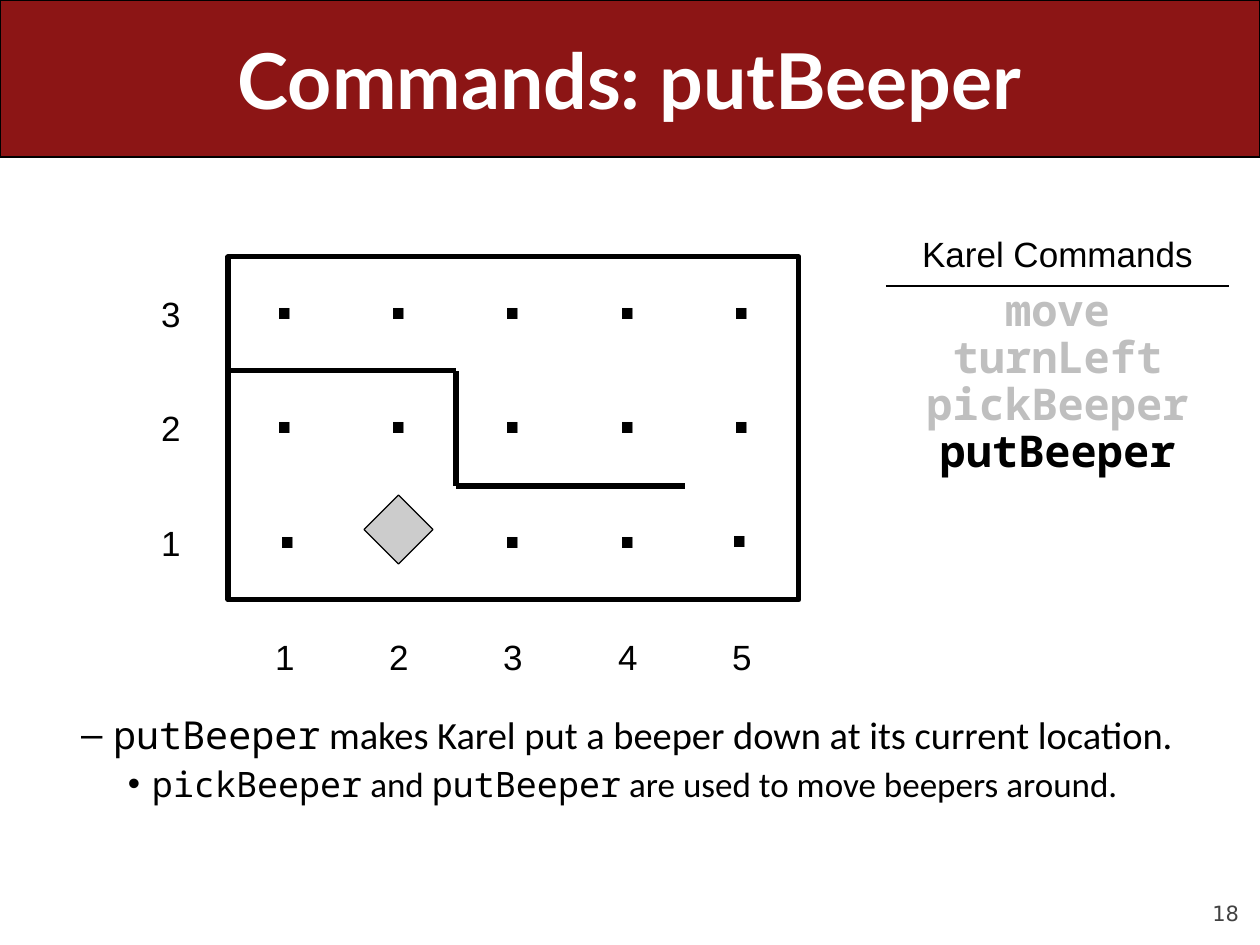
from lxml import etree
from pptx import Presentation
from pptx.dml.color import RGBColor
from pptx.enum.shapes import MSO_CONNECTOR, MSO_SHAPE
from pptx.enum.text import MSO_ANCHOR, PP_ALIGN
from pptx.oxml.ns import qn
from pptx.util import Pt

RECTANGLE, DIAMOND = MSO_SHAPE.RECTANGLE, MSO_SHAPE.DIAMOND
STRAIGHT = MSO_CONNECTOR.STRAIGHT
TOP, MIDDLE, BOTTOM = MSO_ANCHOR.TOP, MSO_ANCHOR.MIDDLE, MSO_ANCHOR.BOTTOM
LEFT, CENTER, RIGHT = PP_ALIGN.LEFT, PP_ALIGN.CENTER, PP_ALIGN.RIGHT

EMU_PER_PX = 914400 / 126
COLORS = {"band": "8C1515", "white": "FFFFFF", "black": "000000",
          "faded": "BFBFBF", "beeper": "CCCCCC", "number": "424242"}
SANS, MONO, BODY = "Arial", "Noto Sans Mono", "Calibri"
THIN, THICK = 0.75, 2.89

COLUMNS, ROWS = 5, 3
WORLD_LEFT, WORLD_TOP, WORLD_WIDTH, WORLD_HEIGHT = 228, 257, 571, 343
CELL = 114
DOT_INSETS, LABEL_INSETS = (11, 14, 11, 5), (11, 8, 11, 5)


def emu(px):
    return round(px * EMU_PER_PX)


def color(name):
    return RGBColor.from_string(COLORS[name])


def column_x(column):
    return WORLD_LEFT + round(column * WORLD_WIDTH / COLUMNS)


def row_y(row):
    return WORLD_TOP + round(row * WORLD_HEIGHT / ROWS)


class SlideBuilder:
    def __init__(self, slide):
        self.slide = slide

    def shape(self, kind, box, fill=None, line=None):
        shape = self.slide.shapes.add_shape(kind, *map(emu, box))
        shape.shadow.inherit = False
        if fill:
            shape.fill.solid()
            shape.fill.fore_color.rgb = color(fill)
        else:
            shape.fill.background()
        if line:
            shape.line.color.rgb = color("black")
            shape.line.width = Pt(line)
        else:
            shape.line.fill.background()
        return shape

    def line(self, start, end, width):
        connector = self.slide.shapes.add_connector(
            STRAIGHT, *map(emu, (*start, *end)))
        connector.line.color.rgb = color("black")
        connector.line.width = Pt(width)
        etree.SubElement(connector._element.spPr, qn("a:effectLst"))

    def frame(self, shape, insets, anchor, wrap):
        left, top, right, bottom = map(emu, insets)
        values = {"margin_left": left, "margin_top": top, "margin_right": right,
                  "margin_bottom": bottom, "vertical_anchor": anchor,
                  "word_wrap": wrap}
        for name, value in values.items():
            setattr(shape.text_frame, name, value)
        return shape.text_frame

    def run(self, paragraph, text, size, font, ink="black", bold=False):
        run = paragraph.add_run()
        run.text = text
        values = {"size": Pt(size), "name": font, "bold": bold}
        for name, value in values.items():
            setattr(run.font, name, value)
        run.font.color.rgb = color(ink)
        return run

    def text(self, box, lines, size, font, insets=(13, 6, 13, 6), anchor=MIDDLE,
             align=CENTER, spacing=None, bold=False, wrap=True):
        shape = self.slide.shapes.add_textbox(*map(emu, box))
        frame = self.frame(shape, insets, anchor, wrap)
        for index, (text, ink) in enumerate(lines):
            paragraph = frame.paragraphs[0] if index == 0 else frame.add_paragraph()
            paragraph.alignment = align
            paragraph.line_spacing = spacing
            self.run(paragraph, text, size, font, ink, bold)

    def corner(self, box):
        shape = self.shape(RECTANGLE, box, "white")
        paragraph = self.frame(shape, DOT_INSETS, MIDDLE, False).paragraphs[0]
        paragraph.alignment = CENTER
        paragraph.line_spacing = 0.93
        run = self.run(paragraph, ".", 73, SANS, bold=True)
        run.font._element.set("baseline", "33000")

    def label(self, x, y, text):
        self.text((x, y, CELL, CELL), [(text, "black")], 20, SANS,
                  LABEL_INSETS, spacing=0.93, wrap=False)

    def bullets(self, box, items):
        shape = self.slide.shapes.add_textbox(*map(emu, box))
        frame = self.frame(shape, (13, 6, 13, 6), TOP, True)
        for index, (mark, margin, hanging, size, runs) in enumerate(items):
            paragraph = frame.paragraphs[0] if index == 0 else frame.add_paragraph()
            paragraph.alignment = LEFT
            paragraph.level = index + 1
            if index:
                paragraph.space_before = Pt(3)
            properties = paragraph._p.get_or_add_pPr()
            properties.set("marL", str(emu(margin)))
            properties.set("indent", str(-emu(hanging)))
            etree.SubElement(properties, qn("a:buFont")).set("typeface", SANS)
            etree.SubElement(properties, qn("a:buChar")).set("char", mark)
            for text, font in runs:
                self.run(paragraph, text, size, font)


def draw_world(builder):
    moved = {(0, 2): (231, 491, CELL, 105), (4, 2): (683, 485, CELL, CELL)}
    beeper_corner = (1, 2)
    for column in range(COLUMNS):
        for row in range(ROWS):
            if (column, row) != beeper_corner:
                box = (column_x(column), row_y(row), CELL, CELL)
                builder.corner(moved.get((column, row), box))
    for row in range(ROWS):
        builder.label(WORLD_LEFT - CELL, row_y(row), str(ROWS - row))
    for column in range(COLUMNS):
        builder.label(column_x(column), row_y(ROWS), str(column + 1))
    walls = [(0, 1), (2, 1), (2, 2), (4, 2)]
    points = [(column_x(column), row_y(row)) for column, row in walls]
    for start, end in zip(points, points[1:]):
        builder.line(start, end, THICK)
    builder.shape(DIAMOND, (364, 495, 69, 69), "beeper", THIN)
    builder.shape(RECTANGLE, (WORLD_LEFT, WORLD_TOP, WORLD_WIDTH, WORLD_HEIGHT),
                  line=THICK)


def draw_commands(builder):
    builder.text((886, 228, 343, 50), [("Karel Commands", "black")], 20, SANS,
                 LABEL_INSETS, TOP, spacing=0.93)
    builder.line((886, 286), (1229, 286), THIN)
    commands = [("move", "faded"), ("turnLeft", "faded"),
                ("pickBeeper", "faded"), ("putBeeper", "black")]
    builder.text((886, 295, 343, 171), commands, 25, MONO, (11, 10, 11, 5),
                 spacing=0.89, bold=True, wrap=False)


def main():
    presentation = Presentation()
    presentation.slide_width, presentation.slide_height = emu(1260), emu(945)
    builder = SlideBuilder(presentation.slides.add_slide(presentation.slide_layouts[6]))
    builder.text((1134, 876, 105, 50), [("18", "number")], 12, "DejaVu Sans",
                 (0, 0, 0, 0), BOTTOM, RIGHT)
    builder.shape(RECTANGLE, (0, 0, 1260, 157), "band", THIN)
    builder.text((63, 0, 1134, 157), [("Commands: putBeeper", "white")], 44, "Lato",
                 bold=True)
    builder.bullets((21, 705, 1218, 188), [
        ("–", 79, 32, 22, [
            ("putBeeper", MONO),
            (" makes Karel put a beeper down at its current location.", BODY)]),
        ("•", 118, 24, 20, [
            ("pickBeeper", MONO), (" and ", BODY), ("putBeeper", MONO),
            (" are used to move beepers around.", BODY)]),
    ])
    draw_world(builder)
    draw_commands(builder)
    presentation.save("out.pptx")


if __name__ == "__main__":
    main()
